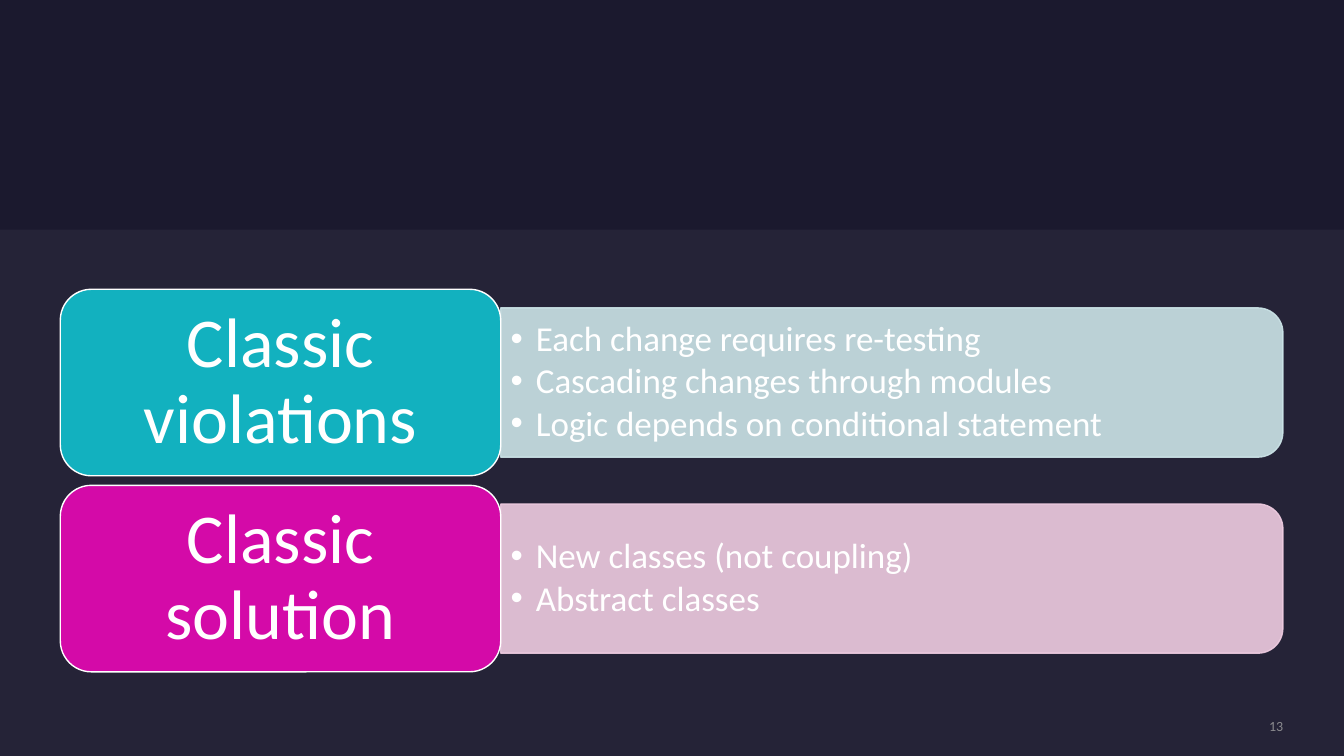
"""Build a slide pairing classic violations with their classic solution."""
import pptx
import pptx.dml.color
import pptx.enum.shapes
import pptx.enum.text
import pptx.oxml
import pptx.oxml.ns
import pptx.util

Cm, Pt = pptx.util.Cm, pptx.util.Pt
SHAPES = pptx.enum.shapes.MSO_SHAPE
ALIGN = pptx.enum.text.PP_ALIGN
MIDDLE = pptx.enum.text.MSO_ANCHOR.MIDDLE

TOPICS = [
    ("Classic violations", "teal", "pale teal", [
        "Each change requires re-testing",
        "Cascading changes through modules",
        "Logic depends on conditional statement",
    ]),
    ("Classic solution", "magenta", "pale pink", [
        "New classes (not coupling)",
        "Abstract classes",
    ]),
]
PAGE_NUMBER = "13"
COLORS = {
    "night": "1B192E", "panel": "E4E3F0", "white": "FFFFFF", "grey": "A6A6A6",
    "teal": "12B1BF", "pale teal": "CCE4E8",
    "magenta": "D40AA8", "pale pink": "EFCCE1",
}
SLIDE_W, SLIDE_H = 33.87, 19.05
PANEL_TOP = 5.79
LABEL_LEFT, LABEL_W, LABEL_H = 1.52, 11.1, 4.7
FIRST_MIDDLE, TOPIC_STEP = 9.64, 4.94
BAR_W, BAR_H = 19.71, 3.76
LIST_W, LIST_H = 19.53, 3.4
BAR_LEFT = LABEL_LEFT + LABEL_W


def paint(color_format, name, opacity=100):
    """Apply a named colour with an opacity in percent."""
    color_format.rgb = pptx.dml.color.RGBColor.from_string(COLORS[name])
    if opacity < 100:
        parent = color_format._xFill if hasattr(color_format, "_xFill") else None
        return parent


def set_opacity(properties, opacity):
    """Make every colour inside an element partly transparent."""
    for color in properties.iter(pptx.oxml.ns.qn("a:srgbClr")):
        alpha = pptx.oxml.parse_xml(
            f'<a:alpha {pptx.oxml.ns.nsdecls("a")} val="{opacity * 1000}"/>')
        color.append(alpha)


def paint(color_format, name):
    """Apply a named colour."""
    color_format.rgb = pptx.dml.color.RGBColor.from_string(COLORS[name])


def add_block(slide, kind, box, fill, line=None, opacity=100):
    """Add a flat filled shape, its box given in centimetres."""
    block = slide.shapes.add_shape(kind, *map(Cm, box))
    block.shadow.inherit = False
    block.fill.solid()
    paint(block.fill.fore_color, fill)
    if line:
        block.line.width = Pt(1)
        paint(block.line.color, line)
    else:
        block.line.fill.background()
    if opacity < 100:
        set_opacity(block._element.spPr, opacity)
    return block


def set_frame(frame, margin_x, margin_y):
    """Centre the text vertically and set the margins in centimetres."""
    frame.word_wrap = True
    frame.auto_size = pptx.enum.text.MSO_AUTO_SIZE.NONE
    frame.vertical_anchor = MIDDLE
    frame.margin_left = frame.margin_right = Cm(margin_x)
    frame.margin_top = frame.margin_bottom = Cm(margin_y)


def format_runs(paragraph, size, color):
    """Set the typeface, size and colour of a paragraph's runs."""
    for run in paragraph.runs:
        run.font.name = "Calibri"
        run.font.size = Pt(size)
        paint(run.font.color, color)


def fill_list(body, points, middle):
    """Place a body placeholder over its bar and fill it with bullets."""
    body.left, body.top = Cm(BAR_LEFT), Cm(middle - LIST_H / 2)
    body.width, body.height = Cm(LIST_W), Cm(LIST_H)
    frame = body.text_frame
    frame.text = "\n".join(points)
    set_frame(frame, 0.25, 0.13)
    for paragraph in frame.paragraphs:
        properties = paragraph._p.get_or_add_pPr()
        properties.set("marL", str(Cm(0.635)))
        properties.set("indent", str(-Cm(0.635)))
        properties.append(pptx.oxml.parse_xml(
            f'<a:buChar {pptx.oxml.ns.nsdecls("a")} char="•"/>'))
        paragraph.line_spacing = 0.9
        paragraph.space_before = Pt(0)
        paragraph.space_after = Pt(3.25)
        format_runs(paragraph, 25, "white")


def add_topic(slide, body, topic, middle):
    """Draw one bar with its list and the label that names it."""
    title, strong, pale, points = topic
    bar_box = (BAR_LEFT + (BAR_W - BAR_H) / 2, middle - BAR_W / 2, BAR_H, BAR_W)
    bar = add_block(slide, SHAPES.ROUND_2_SAME_RECTANGLE, bar_box, pale, pale, 90)
    bar.rotation = 90

    fill_list(body, points, middle)
    slide.shapes._spTree.append(body._element)

    label_box = (LABEL_LEFT, middle - LABEL_H / 2, LABEL_W, LABEL_H)
    label = add_block(slide, SHAPES.ROUNDED_RECTANGLE, label_box, strong, "white")
    label.text_frame.text = title
    set_frame(label.text_frame, 0.76, 0.48)
    heading = label.text_frame.paragraphs[0]
    heading.alignment = ALIGN.CENTER
    heading.line_spacing = 0.9
    format_runs(heading, 50, "white")


def add_page_number(slide):
    """Write the page number at the lower right."""
    page = slide.shapes.add_textbox(Cm(27.64), Cm(18.08), Cm(4.7), Cm(0.43))
    page.text_frame.text = PAGE_NUMBER
    set_frame(page.text_frame, 0, 0)
    number = page.text_frame.paragraphs[0]
    number.alignment = ALIGN.RIGHT
    format_runs(number, 10, "grey")
    set_opacity(number._p, 80)


def main():
    """Build and save the slide."""
    deck = pptx.Presentation()
    deck.slide_width, deck.slide_height = Cm(SLIDE_W), Cm(SLIDE_H)
    slide = deck.slides.add_slide(deck.slide_layouts.get_by_name("Two Content"))
    slide.background.fill.solid()
    paint(slide.background.fill.fore_color, "night")
    title, *bodies = slide.placeholders
    title._element.getparent().remove(title._element)

    panel_box = (0, PANEL_TOP, SLIDE_W, SLIDE_H - PANEL_TOP)
    add_block(slide, SHAPES.RECTANGLE, panel_box, "panel", opacity=5)
    add_page_number(slide)
    for index, (body, topic) in enumerate(zip(bodies, TOPICS)):
        add_topic(slide, body, topic, FIRST_MIDDLE + index * TOPIC_STEP)
    deck.save("out.pptx")


if __name__ == "__main__":
    main()
